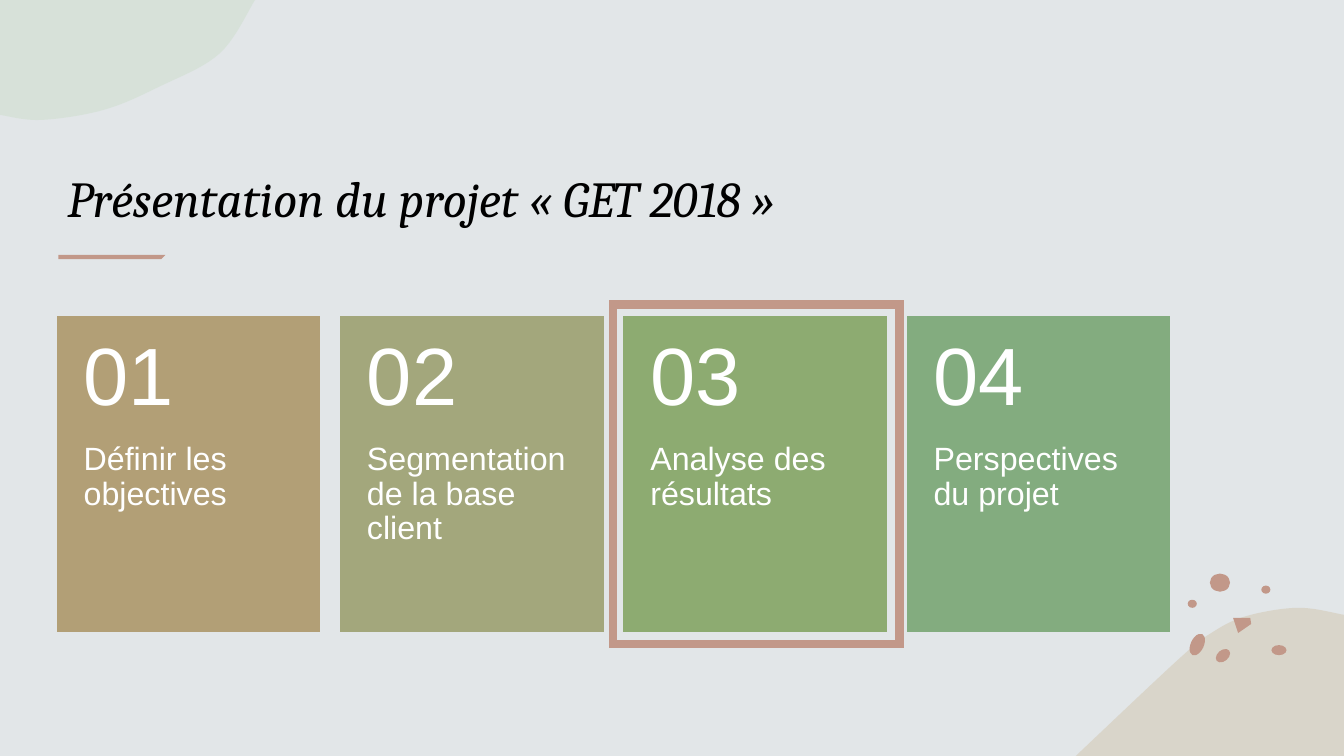
"""Build the four-step project overview slide on a grid of 1333 columns by 750 rows."""
import dataclasses
from typing import Optional

import lxml.etree
import pptx
import pptx.dml.color
import pptx.enum.shapes
import pptx.enum.text
import pptx.oxml.ns
import pptx.util

CELL = pptx.util.Inches(0.01)
COLUMNS, ROWS = 1333, 750
ACCENT, WHITE = "C29889", "FFFFFF"
CARD_LEFT, CARD_TOP, CARD_WIDTH, CARD_HEIGHT = 57, 314, 260, 312
CARD_PITCH, NUMBER_HEIGHT = 281, 125
CURVE_STEPS = 10
RECTANGLE = pptx.enum.shapes.MSO_SHAPE.RECTANGLE
OVAL = pptx.enum.shapes.MSO_SHAPE.OVAL
ANCHOR = pptx.enum.text.MSO_ANCHOR


@dataclasses.dataclass(frozen=True)
class Box:
    """A rectangle in grid columns and rows."""
    left: float
    top: float
    width: float
    height: float

    def lengths(self) -> list[int]:
        """Return the rectangle in slide units."""
        return [cells(value) for value in dataclasses.astuple(self)]


@dataclasses.dataclass(frozen=True)
class Outline:
    """A closed outline: a smooth curve through points, then straight corners."""
    curve: list
    corners: list
    color: str = ACCENT
    opacity: int = 100


@dataclasses.dataclass(frozen=True)
class Pebble:
    """A small oval accent."""
    box: Box
    rotation: int = 0


@dataclasses.dataclass(frozen=True)
class Style:
    """The look of a text and the margins of its box in cells."""
    size: int
    anchor: pptx.enum.text.MSO_ANCHOR
    margins: tuple
    font: str = "Arial"
    color: str = WHITE
    italic: bool = False
    line_spacing: float = 0.9


@dataclasses.dataclass(frozen=True)
class Card:
    """A numbered step of the project."""
    caption: str
    color: str


TITLE = Style(36, ANCHOR.BOTTOM, (10, 5, 10, 5), "Cambria", "000000", True, 1.0)
NUMBER = Style(58, ANCHOR.MIDDLE, (26, 18, 26, 18))
CAPTION = Style(23, ANCHOR.TOP, (26, 0, 26, 36))

CARDS = [
    Card("Définir les objectives", "B29F76"),
    Card("Segmentation de la base client", "A3A77C"),
    Card("Analyse des résultats", "8DAB71"),
    Card("Perspectives du projet", "83AC7F"),
]
OUTLINES = [
    Outline([(1067, ROWS), (1169, 654), (1203, 627), (1237, 611), (1288, 603), (COLUMNS, 610)],
            [(COLUMNS, ROWS)], "D1C5AD", 50),
    Outline([(253, 0), (218, 53), (158, 86), (103, 109), (41, 119), (0, 114)],
            [(0, 0)], "CDDECC", 50),
    Outline([], [(1223, 613), (1240, 613), (1241, 619), (1228, 628)]),
    Outline([], [(58, 253), (164, 253), (160, 257), (58, 257)]),
]
PEBBLES = [
    Pebble(Box(1205, 645, 16, 11), -40),
    Pebble(Box(1181, 628, 13, 23), 25),
    Pebble(Box(1261, 640, 15, 10)),
    Pebble(Box(1200, 569, 20, 18)),
    Pebble(Box(1251, 581, 9, 8)),
    Pebble(Box(1178, 595, 9, 8)),
]


def cells(count: float) -> int:
    """Convert grid cells to slide units."""
    return round(count * CELL)


def rgb(color: str) -> pptx.dml.color.RGBColor:
    """Convert a hex string to a colour."""
    return pptx.dml.color.RGBColor.from_string(color)


def smooth(points: list) -> list:
    """Interpolate a Catmull-Rom curve through the points."""
    padded = points[:1] + points + points[-1:]
    curve = points[:1]
    for before, start, end, after in zip(padded, padded[1:], padded[2:], padded[3:]):
        for step in range(1, CURVE_STEPS + 1):
            t = step / CURVE_STEPS
            curve = curve + [tuple(
                b + t * (c - a + t * (2 * a - 5 * b + 4 * c - d + t * (3 * b - a - 3 * c + d))) / 2
                for a, b, c, d in zip(before, start, end, after))]
    return curve


def draw_outline(slide, outline: Outline) -> None:
    """Draw a filled organic outline."""
    points = smooth(outline.curve) + outline.corners
    vertices = [(cells(column), cells(row)) for column, row in points]
    builder = slide.shapes.build_freeform(*vertices[0])
    builder.add_line_segments(vertices[1:], close=True)
    shape = builder.convert_to_shape()
    shape.shadow.inherit = False
    shape.line.fill.background()
    shape.fill.solid()
    shape.fill.fore_color.rgb = rgb(outline.color)
    color = shape._element.spPr.find(".//" + pptx.oxml.ns.qn("a:srgbClr"))
    alpha = lxml.etree.SubElement(color, pptx.oxml.ns.qn("a:alpha"))
    alpha.set("val", str(outline.opacity * 1000))


def draw_pebble(slide, pebble: Pebble) -> None:
    """Draw a small tilted oval."""
    shape = slide.shapes.add_shape(OVAL, *pebble.box.lengths())
    shape.shadow.inherit = False
    shape.rotation = pebble.rotation
    shape.line.fill.background()
    shape.fill.solid()
    shape.fill.fore_color.rgb = rgb(ACCENT)


def draw_rectangle(slide, box: Box, line: str, weight: float, fill: Optional[str] = None) -> None:
    """Draw a rectangle with sharp corners, filled or hollow."""
    shape = slide.shapes.add_shape(RECTANGLE, *box.lengths())
    shape.shadow.inherit = False
    if fill:
        shape.fill.solid()
        shape.fill.fore_color.rgb = rgb(fill)
    else:
        shape.fill.background()
    shape.line.color.rgb = rgb(line)
    shape.line.width = pptx.util.Pt(weight)
    outline = shape._element.spPr.find(pptx.oxml.ns.qn("a:ln"))
    lxml.etree.SubElement(outline, pptx.oxml.ns.qn("a:miter")).set("lim", "800000")


def draw_text(slide, box: Box, text: str, style: Style) -> None:
    """Place a wrapped one-paragraph text."""
    frame = slide.shapes.add_textbox(*box.lengths()).text_frame
    frame.word_wrap = True
    frame.vertical_anchor = style.anchor
    (frame.margin_left, frame.margin_top,
     frame.margin_right, frame.margin_bottom) = map(cells, style.margins)
    frame.text = text
    paragraph = frame.paragraphs[0]
    paragraph.line_spacing = style.line_spacing
    font = paragraph.runs[0].font
    font.name, font.size, font.italic = style.font, pptx.util.Pt(style.size), style.italic
    font.color.rgb = rgb(style.color)


def draw_card(slide, index: int, card: Card) -> None:
    """Draw a step card in its column with number and caption."""
    left = CARD_LEFT + index * CARD_PITCH
    draw_rectangle(slide, Box(left, CARD_TOP, CARD_WIDTH, CARD_HEIGHT), card.color, 1, card.color)
    caption_box = Box(left, CARD_TOP + NUMBER_HEIGHT, CARD_WIDTH, CARD_HEIGHT - NUMBER_HEIGHT)
    draw_text(slide, caption_box, card.caption, CAPTION)
    number_box = Box(left, CARD_TOP, CARD_WIDTH, NUMBER_HEIGHT)
    draw_text(slide, number_box, f"{index + 1:02d}", NUMBER)


def main() -> None:
    """Build and save the presentation."""
    presentation = pptx.Presentation()
    presentation.slide_width, presentation.slide_height = cells(COLUMNS), cells(ROWS)
    slide = presentation.slides.add_slide(presentation.slide_layouts[6])
    slide.background.fill.solid()
    slide.background.fill.fore_color.rgb = rgb("E2E6E8")
    for outline in OUTLINES:
        draw_outline(slide, outline)
    for pebble in PEBBLES:
        draw_pebble(slide, pebble)
    draw_text(slide, Box(CARD_LEFT, 86, 1102, 145), "Présentation du projet « GET 2018 »", TITLE)
    for index, card in enumerate(CARDS):
        draw_card(slide, index, card)
    draw_rectangle(slide, Box(608, 302, 284, 337), ACCENT, 6)
    presentation.save("out.pptx")


if __name__ == "__main__":
    main()
